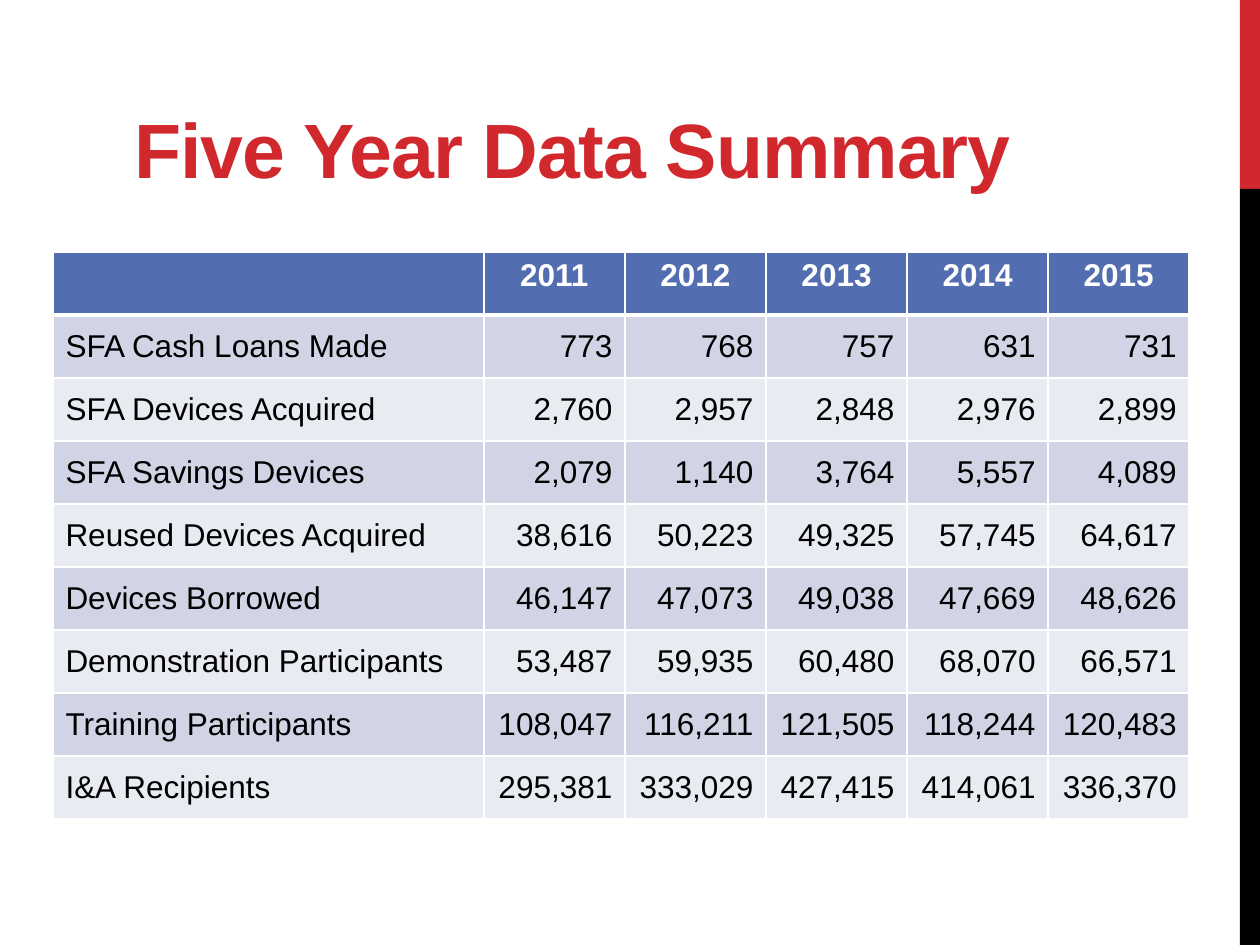
from lxml import etree
from pptx import Presentation
from pptx.dml.color import RGBColor
from pptx.enum import shapes, text
from pptx.oxml.ns import qn
from pptx.util import Inches, Pt

RED = RGBColor(0xD1, 0x28, 0x2E)
BLACK = RGBColor(0, 0, 0)
WHITE = RGBColor(0xFF, 0xFF, 0xFF)
HEADER_BLUE = RGBColor(0x52, 0x6D, 0xB0)
BANDS = (RGBColor(0xD1, 0xD4, 0xE4), RGBColor(0xE9, 0xEB, 0xF2))
FONT = "Arial"

TITLE = "Five Year Data Summary"
ROWS = [
    ("", "2011", "2012", "2013", "2014", "2015"),
    ("SFA Cash Loans Made", "773", "768", "757", "631", "731"),
    ("SFA Devices Acquired", "2,760", "2,957", "2,848", "2,976", "2,899"),
    ("SFA Savings Devices", "2,079", "1,140", "3,764", "5,557", "4,089"),
    ("Reused Devices Acquired", "38,616", "50,223", "49,325", "57,745", "64,617"),
    ("Devices Borrowed", "46,147", "47,073", "49,038", "47,669", "48,626"),
    ("Demonstration Participants", "53,487", "59,935", "60,480", "68,070", "66,571"),
    ("Training Participants", "108,047", "116,211", "121,505", "118,244", "120,483"),
    ("I&A Recipients", "295,381", "333,029", "427,415", "414,061", "336,370"),
]
SIDE_BARS = [(0, 1.5, RED), (1.5, 6, BLACK)]  # top, height, colour
LABEL_WIDTH, YEAR_WIDTH, ROW_HEIGHT = 3.42, 1.12, 0.5


def style_font(font, size, color, bold):
    font.name, font.size, font.bold = FONT, Pt(size), bold
    font.color.rgb = color


def add_side_bar(page, top, height, color):
    bar = page.shapes.add_shape(shapes.MSO_SHAPE.RECTANGLE, Inches(9.84),
                                Inches(top), Inches(0.16), Inches(height))
    bar.shadow.inherit = False
    bar.fill.solid()
    bar.fill.fore_color.rgb = color
    bar.line.fill.background()


def add_title(page):
    box = page.shapes.add_textbox(Inches(0.67), Inches(0.42),
                                  Inches(8.25), Inches(1.17))
    frame = box.text_frame
    frame.word_wrap = True
    frame.vertical_anchor = text.MSO_ANCHOR.BOTTOM
    frame.margin_right = Inches(0.6)  # centres the title left of the box middle
    frame.text = TITLE
    para = frame.paragraphs[0]
    para.alignment = text.PP_ALIGN.CENTER
    span = para.runs[0]
    style_font(span.font, 44, RED, True)
    span.font._element.set("spc", "-60")


def set_borders(cell, top, bottom):
    """Draw white borders; widths are in points. Call before filling the cell."""
    properties = cell._tc.get_or_add_tcPr()
    for side, width in (("L", 1), ("R", 1), ("T", top), ("B", bottom)):
        line = etree.SubElement(properties, qn(f"a:ln{side}"), w=str(Pt(width)))
        fill = etree.SubElement(line, qn("a:solidFill"))
        etree.SubElement(fill, qn("a:srgbClr"), val=str(WHITE))


def style_cell(cell, row, column):
    header = row == 0
    set_borders(cell, 3 if row == 1 else 1, 3 if header else 1)
    cell.fill.solid()
    cell.fill.fore_color.rgb = HEADER_BLUE if header else BANDS[(row - 1) % 2]
    cell.vertical_anchor = text.MSO_ANCHOR.TOP if header else text.MSO_ANCHOR.MIDDLE
    para = cell.text_frame.paragraphs[0]
    if header:
        para.alignment = text.PP_ALIGN.CENTER
    elif column > 0:
        para.alignment = text.PP_ALIGN.RIGHT
    for span in para.runs:
        style_font(span.font, 18, WHITE if header else BLACK, header)


def add_data_table(page):
    widths = [LABEL_WIDTH] + [YEAR_WIDTH] * (len(ROWS[0]) - 1)
    table = page.shapes.add_table(
        len(ROWS), len(widths), Inches(0.42), Inches(2),
        Inches(sum(widths)), Inches(ROW_HEIGHT * len(ROWS))).table
    for column, width in zip(table.columns, widths):
        column.width = Inches(width)
    for r, values in enumerate(ROWS):
        for c, value in enumerate(values):
            cell = table.cell(r, c)
            cell.text_frame.text = value
            style_cell(cell, r, c)


def main():
    deck = Presentation()
    deck.slide_width, deck.slide_height = Inches(10), Inches(7.5)
    page = deck.slides.add_slide(deck.slide_layouts[6])
    for bar in SIDE_BARS:
        add_side_bar(page, *bar)
    add_title(page)
    add_data_table(page)
    deck.save("out.pptx")


if __name__ == "__main__":
    main()
